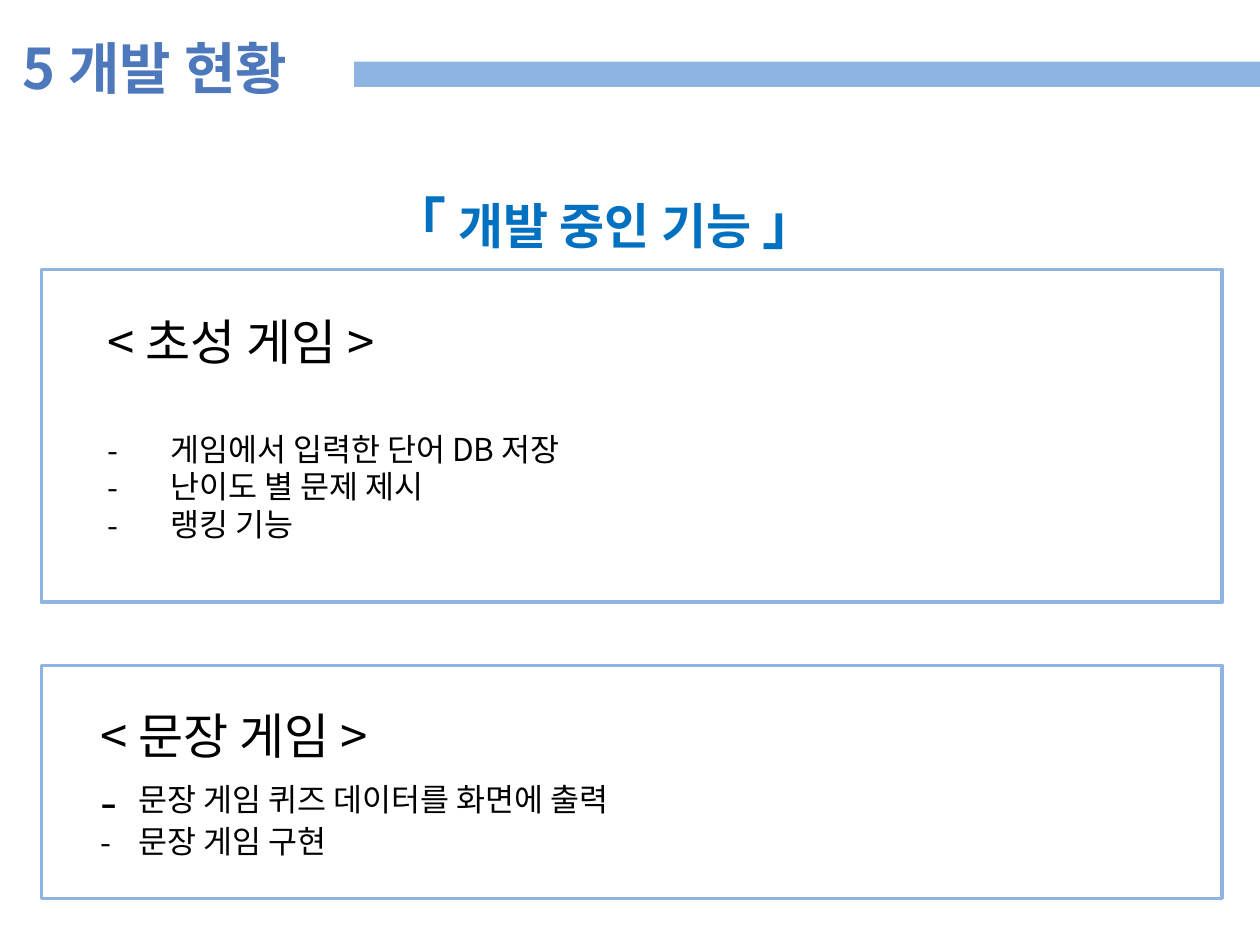
from lxml import etree
from pptx import Presentation
from pptx import util as u
from pptx.dml.color import RGBColor
from pptx.enum import shapes, text
from pptx.oxml.ns import qn

THEME = {
    "font": "Noto Sans CJK KR",
    "title": "4D79BC", "subtitle": "0070C0", "body": "000000", "accent": "8EB4E3",
    "title_size": 32, "heading_size": 28, "item_size": 18, "frame_line": 2,
}

TITLE = "5 개발 현황"
SUBTITLE = [("「 ", THEME["title_size"]), ("개발 중인 기능 ", THEME["heading_size"]),
            ("」", THEME["title_size"])]
SECTIONS = [
    {
        "heading": "< 초성 게임 >",
        "items": ["게임에서 입력한 단어 DB 저장", "난이도 별 문제 제시", "랭킹 기능"],
        "frame": (2.14, 2.64), "body": (0.75, 2.42, 8.74, 1.95),
        "indent": 0.5, "heading_gap": 34, "item_gap": 0, "dash_scales": [100, 100, 100],
    },
    {
        "heading": "< 문장 게임 >",
        "items": ["문장 게임 퀴즈 데이터를 화면에 출력", "문장 게임 구현"],
        "frame": (5.28, 1.85), "body": (0.7, 5.55, 8.73, 1.35),
        "indent": 0.3, "heading_gap": 9, "item_gap": 2, "dash_scales": [156, 100],
    },
]
FRAME_LEFT, FRAME_WIDTH = 0.33, 9.37


def place(part, left, top, width, height):
    part.left, part.top, part.width, part.height = map(
        u.Inches, (left, top, width, height))


def style(run, size, color, bold=False):
    run.font.size = u.Pt(size)
    run.font.bold = bold
    run.font.color.rgb = RGBColor.from_string(color)
    run.font.name = THEME["font"]
    etree.SubElement(run.font._element, qn("a:ea"), typeface=THEME["font"])


def set_bullet(paragraph, indent=0, scale=None):
    props = paragraph._p.get_or_add_pPr()
    props.set("marL", str(u.Inches(indent)))
    props.set("indent", str(-u.Inches(indent)))
    if scale is None:
        etree.SubElement(props, qn("a:buNone"))
    else:
        etree.SubElement(props, qn("a:buSzPct"), val=str(scale * 1000))
        etree.SubElement(props, qn("a:buFont"), typeface=THEME["font"])
        etree.SubElement(props, qn("a:buChar"), char="-")


def add_rectangle(slide, left, top, width, height):
    rectangle = slide.shapes.add_shape(
        shapes.MSO_SHAPE.RECTANGLE, *map(u.Inches, (left, top, width, height)))
    rectangle.shadow.inherit = False
    return rectangle


def add_title(slide):
    rule = add_rectangle(slide, 2.81, 0.49, 7.39, 0.2)
    rule.fill.solid()
    rule.fill.fore_color.rgb = RGBColor.from_string(THEME["accent"])
    rule.line.fill.background()

    title = slide.shapes.title
    place(title, 0.08, 0.21, 2.57, 0.64)
    title.text_frame.text = TITLE
    title.text_frame.word_wrap = False
    title.text_frame.auto_size = text.MSO_AUTO_SIZE.NONE
    heading = title.text_frame.paragraphs[0]
    heading.alignment = text.PP_ALIGN.LEFT
    style(heading.runs[0], THEME["title_size"], THEME["title"], True)


def add_subtitle(slide):
    subtitle = slide.shapes.add_textbox(*map(u.Inches, (2.71, 1.18, 4.17, 0.8)))
    subtitle.text_frame.word_wrap = True
    line = subtitle.text_frame.paragraphs[0]
    line.alignment = text.PP_ALIGN.CENTER
    line.line_spacing = 1.5
    for words, size in SUBTITLE:
        run = line.add_run()
        run.text = words
        style(run, size, THEME["subtitle"], True)


def add_section(slide, body, section):
    top, height = section["frame"]
    frame = add_rectangle(slide, FRAME_LEFT, top, FRAME_WIDTH, height)
    frame.fill.background()
    frame.line.color.rgb = RGBColor.from_string(THEME["accent"])
    frame.line.width = u.Pt(THEME["frame_line"])

    place(body, *section["body"])
    body.text_frame.text = "\n".join([section["heading"], *section["items"]])
    body.text_frame.auto_size = text.MSO_AUTO_SIZE.NONE
    heading, *items = body.text_frame.paragraphs
    heading.space_before = u.Pt(0)
    heading.space_after = u.Pt(section["heading_gap"])
    set_bullet(heading)
    style(heading.runs[0], THEME["heading_size"], THEME["body"])
    for index, (item, scale) in enumerate(zip(items, section["dash_scales"])):
        item.space_before = u.Pt(section["item_gap"] if index else 0)
        set_bullet(item, section["indent"], scale)
        style(item.runs[0], THEME["item_size"], THEME["body"])


def main():
    deck = Presentation()
    deck.slide_width, deck.slide_height = u.Inches(10), u.Inches(7.5)
    slide = deck.slides.add_slide(deck.slide_layouts.get_by_name("Two Content"))
    bodies = [slide.placeholders[1], slide.placeholders[2]]
    add_title(slide)
    add_subtitle(slide)
    for body, section in zip(bodies, SECTIONS):
        add_section(slide, body, section)
    deck.save("out.pptx")


if __name__ == "__main__":
    main()
